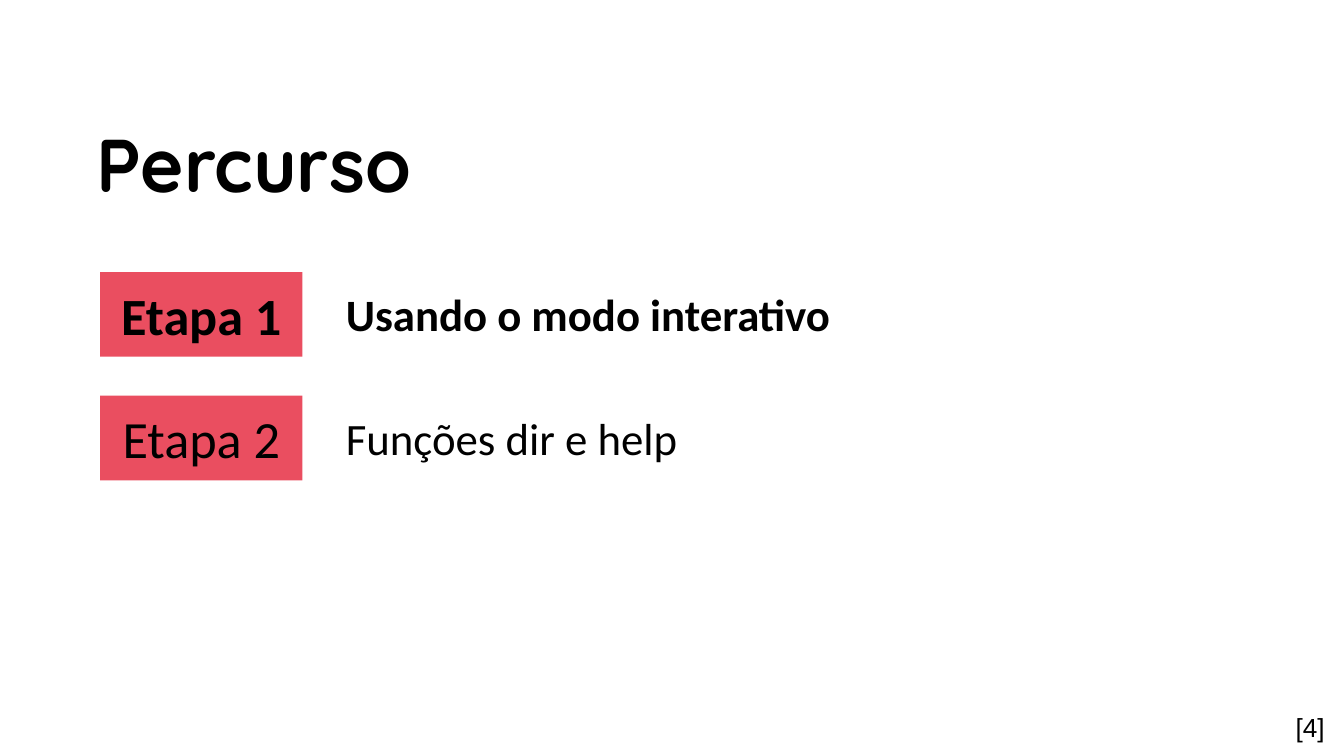
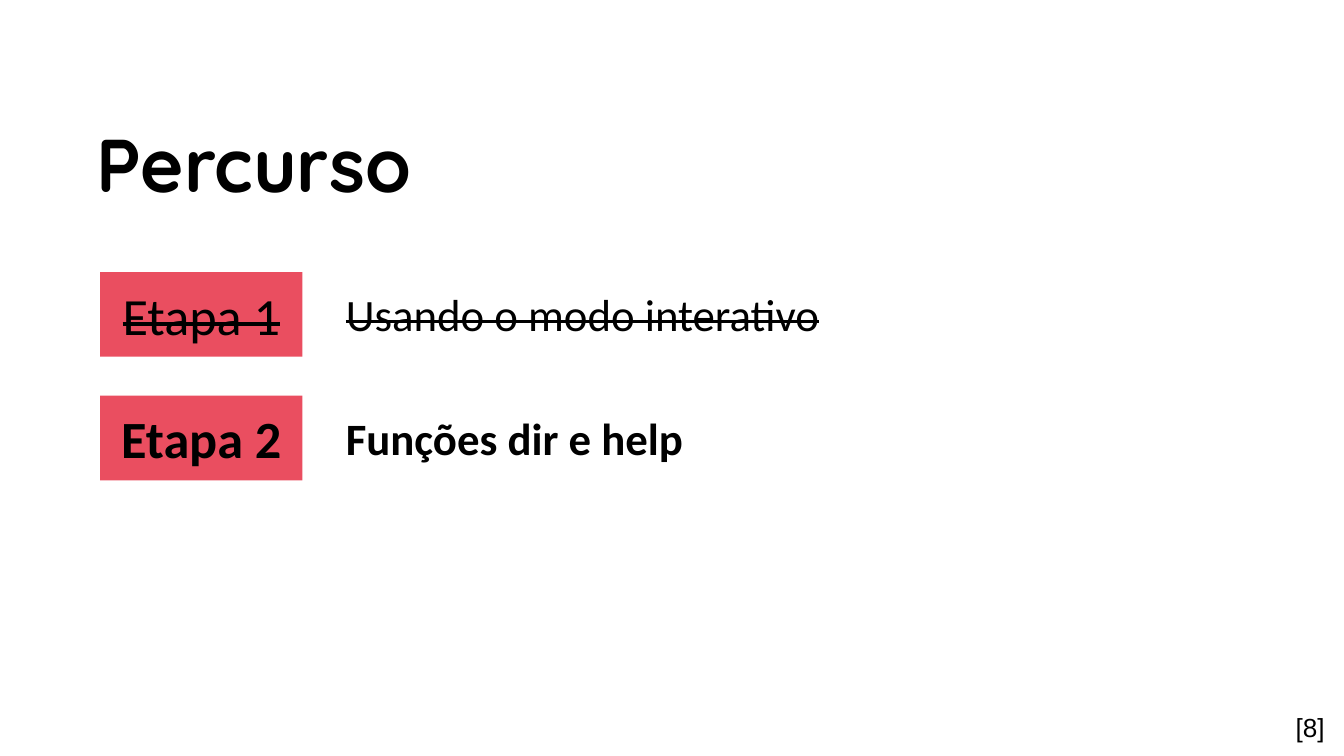
from dataclasses import dataclass

from pptx import Presentation
from pptx.dml.color import RGBColor
from pptx.enum.shapes import MSO_SHAPE as Shape
from pptx.enum.text import MSO_ANCHOR as Anchor, PP_ALIGN as Align
from pptx.util import Emu, Pt

TITLE = "Percurso"
STEPS = [
    ("Etapa 1", "Usando o modo interativo"),
    ("Etapa 2", "Funções dir e help"),
]
# Page number and index of the step that is current on that page
PAGES = [(4, 0), (8, 1)]

PX = 4572  # 200 px to the inch
SLIDE_SIZE = (2000, 1125)
TITLE_AREA = (124, 140, 1620, 184)
NUMBER_AREA = (1871, 1039, 120, 86)
LABEL_LEFT, LABEL_WIDTH, LABEL_HEIGHT = 149, 301, 126
TOPIC_LEFT, TOPIC_WIDTH, TOPIC_HEIGHT = 495, 1350, 101
FIRST_STEP_TOP, STEP_PITCH = 405, 184
INSET, SLIM_INSET, HANGING = 20, 10, 100


@dataclass(frozen=True)
class Theme:
    background: RGBColor = RGBColor.from_string("FFFFFF")
    ink: RGBColor = RGBColor.from_string("000000")
    accent: RGBColor = RGBColor.from_string("EA4E60")
    title: tuple = ("Quicksand", 40)
    label: tuple = ("Calibri", 28)
    topic: tuple = ("Calibri", 24)
    number: tuple = ("Arial", 14)


THEME = Theme()


def px(*lengths):
    return [Emu(length * PX) for length in lengths]


def write(box, text, style, bold=False, struck=False, align=Align.LEFT,
          anchor=Anchor.TOP, inset=INSET, hanging=0):
    """Fill a box with one styled paragraph and return that paragraph."""
    frame = box.text_frame
    frame.word_wrap = True
    frame.vertical_anchor = anchor
    frame.margin_left, frame.margin_right = px(INSET, INSET)
    frame.margin_top, frame.margin_bottom = px(inset, inset)
    para = frame.paragraphs[0]
    para.alignment = align
    if hanging:
        properties = para._p.get_or_add_pPr()
        properties.set("marL", str(hanging * PX))
        properties.set("indent", str(-hanging * PX))
    span = para.add_run()
    span.text = text
    if struck:
        span._r.get_or_add_rPr().set("strike", "sngStrike")
    font = para.font
    font.name, size = style
    font.size = Pt(size)
    font.bold = bold
    font.color.rgb = THEME.ink
    return para


def add_step(page, index, current):
    label, topic = STEPS[index]
    top = FIRST_STEP_TOP + index * STEP_PITCH
    state = {"bold": index == current, "struck": index < current}

    tag = page.shapes.add_shape(
        Shape.RECTANGLE, *px(LABEL_LEFT, top, LABEL_WIDTH, LABEL_HEIGHT))
    tag.shadow.inherit = False
    tag.fill.solid()
    tag.fill.fore_color.rgb = THEME.accent
    tag.line.fill.background()
    write(tag, label, THEME.label, align=Align.CENTER, anchor=Anchor.MIDDLE, **state)

    topic_top = top + (LABEL_HEIGHT - TOPIC_HEIGHT) // 2
    box = page.shapes.add_textbox(
        *px(TOPIC_LEFT, topic_top, TOPIC_WIDTH, TOPIC_HEIGHT))
    write(box, topic, THEME.topic, inset=SLIM_INSET, hanging=HANGING, **state)


def add_page(deck, number, current):
    page = deck.slides.add_slide(deck.slide_layouts[6])
    page.background.fill.solid()
    page.background.fill.fore_color.rgb = THEME.background

    title = page.shapes.add_textbox(*px(*TITLE_AREA))
    para = write(title, TITLE, THEME.title, bold=True, anchor=Anchor.MIDDLE)
    para.line_spacing = 1.15

    for index in range(len(STEPS)):
        add_step(page, index, current)

    footer = page.shapes.add_textbox(*px(*NUMBER_AREA))
    write(footer, f"[{number}]", THEME.number, align=Align.RIGHT)


def main():
    deck = Presentation()
    deck.slide_width, deck.slide_height = px(*SLIDE_SIZE)
    for number, current in PAGES:
        add_page(deck, number, current)
    deck.save("out.pptx")


if __name__ == "__main__":
    main()
